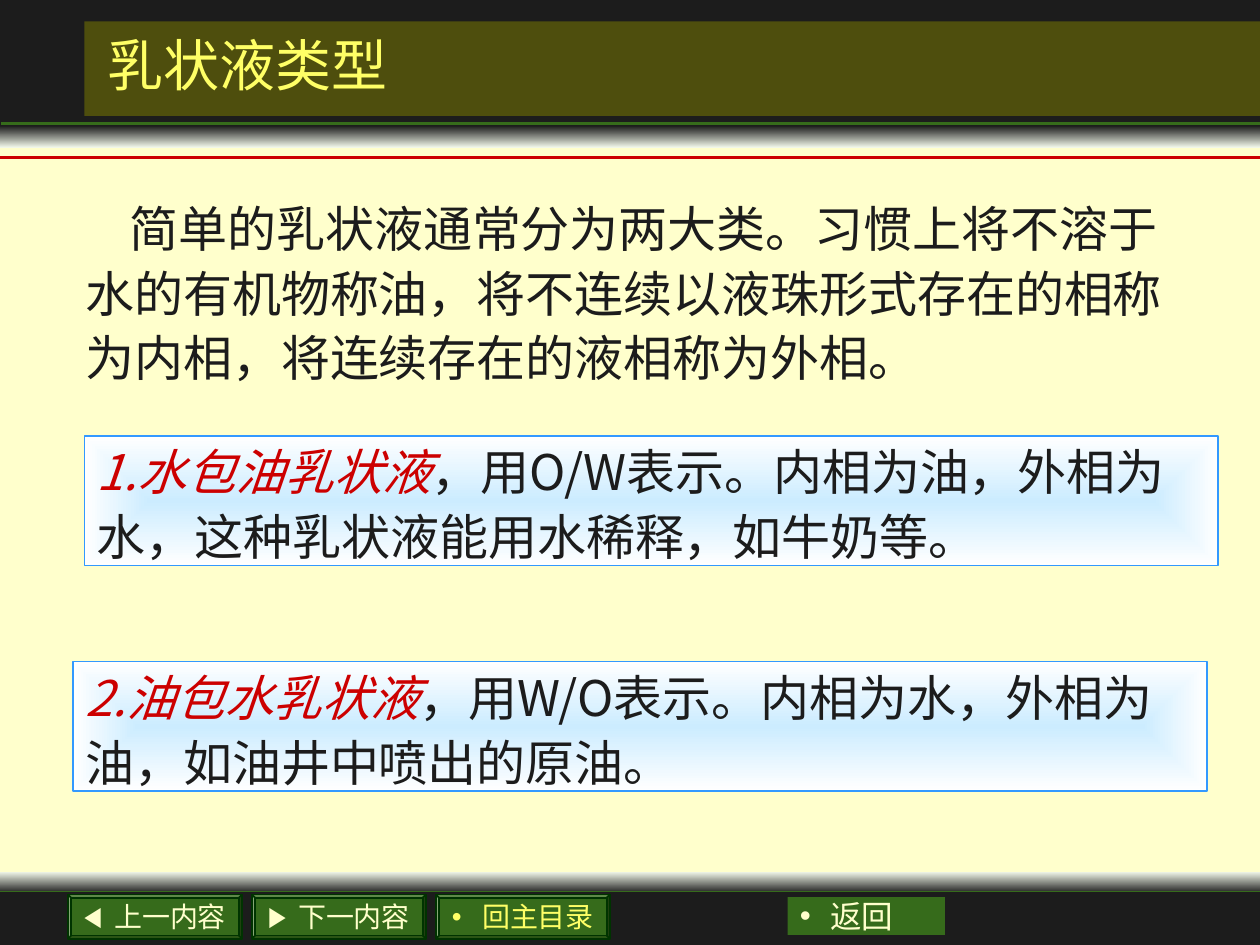
"""Build the slide on the two types of emulsion."""
from lxml import etree
from pptx import Presentation
from pptx import util as u
from pptx.dml import color as dml
from pptx.enum import shapes, text
from pptx.oxml import ns

INK, GREEN, CREAM, YELLOW, RED = "1C1C1C", "366B1B", "FFFFCC", "FFFF66", "CC0000"
PALE, SKY, BLUE = "F1F7E9", "CCECFF", "3399FF"
BODY_FONT, SERIF = "Noto Sans CJK SC", "Times New Roman"


def rgb(value):
    """Turn a hex string into a colour."""
    return dml.RGBColor.from_string(value)


def add_child(parent, tag, **attributes):
    """Append a drawing element to its parent."""
    return etree.SubElement(parent, ns.qn(tag), attributes)


class SlideStyle:
    """Hold the current page and draw its elements in one style."""

    def __init__(self, page):
        """Keep the page and colour its background."""
        self.page = page
        page.background.fill.solid()
        page.background.fill.fore_color.rgb = rgb(CREAM)

    def panel(self, left, top, width, height, fill, line=None, kind=shapes.MSO_SHAPE.RECTANGLE):
        """Draw a plain or outlined shape."""
        box = self.page.shapes.add_shape(
            kind, u.Inches(left), u.Inches(top), u.Inches(width), u.Inches(height))
        box.shadow.inherit = False
        box.fill.solid()
        box.fill.fore_color.rgb = rgb(fill)
        if line:
            box.line.color.rgb = rgb(line)
            box.line.width = u.Pt(1)
        else:
            box.line.fill.background()
        return box

    def gradient(self, box, colours, from_centre=False):
        """Fill a shape with a gradient running down or out from its centre."""
        box.fill.gradient()
        for stop, colour in zip(box.fill.gradient_stops, colours):
            stop.color.rgb = rgb(colour)
        box.fill.gradient_angle = 270
        if from_centre:
            fill = box.element.spPr.find(ns.qn("a:gradFill"))
            fill.remove(fill.find(ns.qn("a:lin")))
            path = add_child(fill, "a:path", path="rect")
            add_child(path, "a:fillToRect", l="50000", t="50000", r="50000", b="50000")

    def rule(self, top, colour, width, left=0):
        """Draw a line across the page."""
        line = self.page.shapes.add_connector(
            shapes.MSO_CONNECTOR.STRAIGHT, u.Inches(left), u.Inches(top),
            u.Inches(left + 10), u.Inches(top))
        line.line.color.rgb = rgb(colour)
        line.line.width = u.Pt(width)
        add_child(line.element.spPr, "a:effectLst")

    def title(self, words):
        """Place the title in front of the bands."""
        box = self.page.shapes.title
        box.left, box.top, box.width, box.height = map(u.Inches, (0.75, 0.17, 8.5, 0.67))
        box.element.getparent().append(box.element)
        frame = box.text_frame
        frame.text = words
        frame.auto_size = text.MSO_AUTO_SIZE.NONE
        frame.vertical_anchor = text.MSO_ANCHOR.MIDDLE
        para = frame.paragraphs[0]
        para.alignment = text.PP_ALIGN.LEFT
        self.font(para, 32, SERIF, YELLOW)

    def font(self, target, size, name, colour):
        """Set the font of a paragraph."""
        target.font.size = u.Pt(size)
        target.font.name = name
        target.font.color.rgb = rgb(colour)

    def frame(self, box, anchor):
        """Prepare the text frame of a shape."""
        frame = box.text_frame
        frame.word_wrap = True
        frame.vertical_anchor = anchor
        frame.margin_top = frame.margin_bottom = 0
        return frame

    def bullet_text(self, box, mark, words, size, name, colour, align):
        """Write one bulleted label in a shape."""
        frame = self.frame(box, text.MSO_ANCHOR.MIDDLE)
        frame.word_wrap = False
        para = frame.paragraphs[0]
        para.text = words
        para.alignment = align
        props = para._p.get_or_add_pPr()
        hang = u.Inches(0.24)
        props.set("marL", str(hang))
        props.set("indent", str(-hang))
        add_child(add_child(props, "a:buClr"), "a:srgbClr", val=colour)
        add_child(props, "a:buFont", typeface="Arial")
        add_child(props, "a:buChar", char=mark)
        self.font(para, size, name, colour)

    def button(self, left, mark, words, colour):
        """Draw a bevelled navigation button."""
        box = self.panel(left, 7.1, 1.38, 0.35, GREEN, "003300", shapes.MSO_SHAPE.BEVEL)
        box.adjustments[0] = 0.07
        self.bullet_text(box, mark, words, 16, SERIF, colour, text.PP_ALIGN.CENTER)

    def passage(self, box, words, lead="", indent=0):
        """Write body text, with an optional red italic lead."""
        frame = self.frame(box, text.MSO_ANCHOR.TOP)
        frame.auto_size = text.MSO_AUTO_SIZE.SHAPE_TO_FIT_TEXT
        para = frame.paragraphs[0]
        para.alignment = text.PP_ALIGN.LEFT
        para.line_spacing = 1.1
        para._p.get_or_add_pPr().set("indent", str(u.Inches(indent)))
        self.font(para, 28, BODY_FONT, INK)
        if lead:
            span = para.add_run()
            span.text = lead
            span.font.italic = True
            span.font.color.rgb = rgb(RED)
        para.add_run().text = words

    def card(self, left, top, lead, words):
        """Draw a shaded card for one emulsion type."""
        box = self.panel(left, top, 9, 1.03, SKY, BLUE)
        self.gradient(box, (SKY, "FFFFFF"), from_centre=True)
        self.passage(box, words, lead)


def main():
    """Build and save the deck."""
    deck = Presentation()
    deck.slide_width, deck.slide_height = u.Inches(10), u.Inches(7.5)
    style = SlideStyle(deck.slides.add_slide(deck.slide_layouts[5]))

    style.gradient(style.panel(0, 6.92, 10, 0.17, PALE), (PALE, INK))
    style.rule(7.08, GREEN, 1.5)
    style.panel(0, 7.08, 10, 0.42, INK)
    style.gradient(style.panel(0, 1, 10, 0.17, INK), (INK, PALE))
    style.rule(1.25, RED, 2.25)
    style.panel(0, 0, 10, 1, INK)
    title_band = style.panel(0.67, 0.17, 9.33, 0.75, "808000")
    band_colour = title_band.element.spPr.find(ns.qn("a:solidFill"))[0]
    add_child(band_colour, "a:alpha", val="50000")
    style.rule(0.98, GREEN, 1.5, left=0.01)

    buttons = (("◀", "上一内容", CREAM), ("▶", "下一内容", CREAM), ("•", "回主目录", YELLOW))
    for index, (mark, words, colour) in enumerate(buttons):
        style.button(0.54 + 1.46 * index, mark, words, colour)
    back = style.panel(6.25, 7.12, 1.25, 0.3, GREEN)
    style.bullet_text(back, "•", "返回", 18, "Arial", CREAM, text.PP_ALIGN.LEFT)

    style.title("乳状液类型")
    style.passage(
        style.panel(0.58, 1.53, 9, 1.54, CREAM),
        "简单的乳状液通常分为两大类。习惯上将不溶于水的有机物称油，"
        "将不连续以液珠形式存在的相称为内相，将连续存在的液相称为外相。", indent=0.35)
    style.card(0.67, 3.46, "1.水包油乳状液",
               "，用O/W表示。内相为油，外相为水，这种乳状液能用水稀释，如牛奶等。")
    style.card(0.58, 5.25, "2.油包水乳状液",
               "，用W/O表示。内相为水，外相为油，如油井中喷出的原油。")
    deck.save("out.pptx")


if __name__ == "__main__":
    main()
